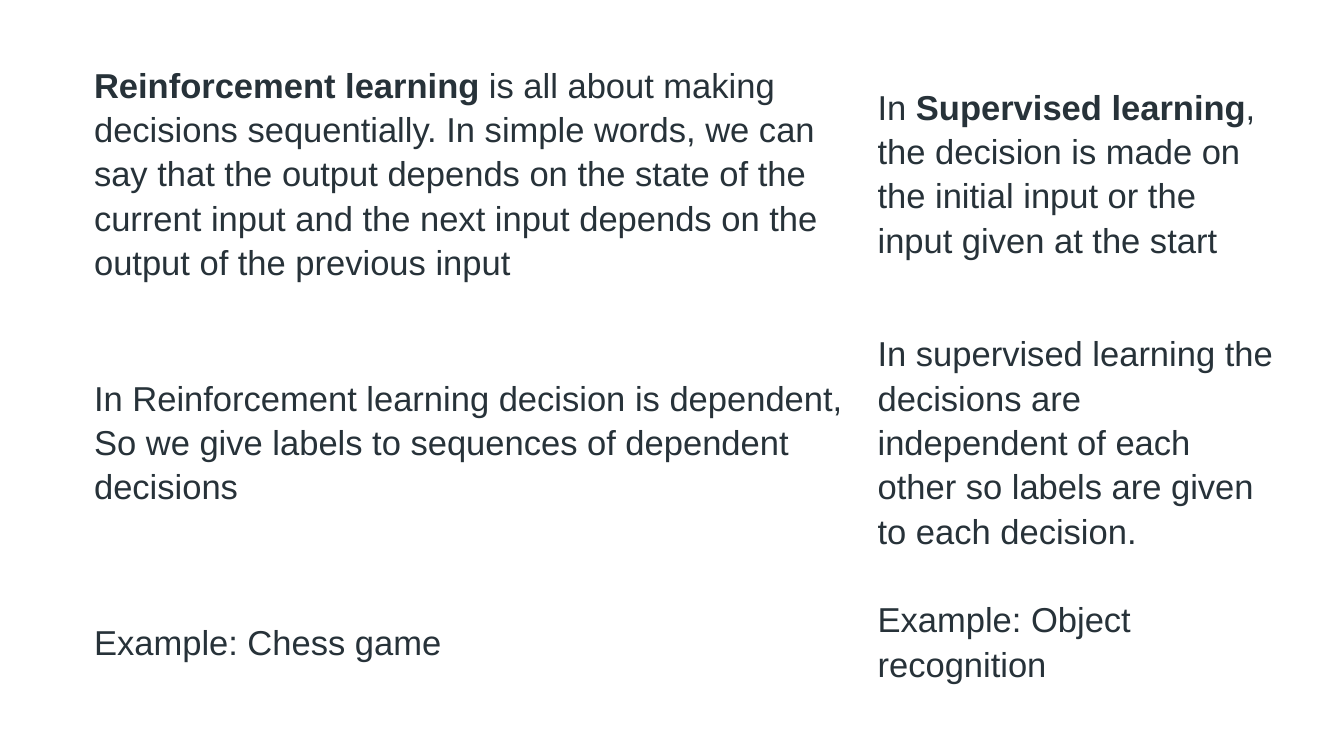
from dataclasses import dataclass

from pptx import Presentation
from pptx.dml.color import RGBColor
from pptx.enum.text import MSO_ANCHOR
from pptx.util import Inches, Pt


@dataclass(frozen=True)
class Theme:
    font: str = "Arial"
    size: float = 18.5
    line_spacing: float = 1.15
    text: RGBColor = RGBColor(0x27, 0x32, 0x39)
    background: RGBColor = RGBColor(0xFF, 0xFF, 0xFF)


theme = Theme()

# Each cell is a list of runs: (text, bold)
comparison = [
    [
        [("Reinforcement learning ", True),
         ("is all about making decisions sequentially. In simple words, we can "
          "say that the output depends on the state of the current input and "
          "the next input depends on the output of the previous input", False)],
        [("In ", False),
         ("Supervised learning", True),
         (", the decision is made on the initial input or the input given at "
          "the start", False)],
    ],
    [
        [("In Reinforcement learning decision is dependent, So we give labels "
          "to sequences of dependent decisions", False)],
        [("In supervised learning the decisions are independent of each other "
          "so labels are given to each decision.", False)],
    ],
    [
        [("Example: Chess game", False)],
        [("Example: Object recognition", False)],
    ],
]
column_widths = [5.83, 3.18]
row_heights = [2, 2, 0.97]

# Widescreen 16:9 slide without a title
presentation = Presentation()
presentation.slide_width = Inches(10)
presentation.slide_height = Inches(10 * 9 / 16)
slide = presentation.slides.add_slide(presentation.slide_layouts[6])
slide.background.fill.solid()
slide.background.fill.fore_color.rgb = theme.background

# Comparison table
table = slide.shapes.add_table(
    len(row_heights), len(column_widths), Inches(0.6), Inches(0.28),
    Inches(sum(column_widths)), Inches(sum(row_heights))).table
table.first_row = False
table.horz_banding = False
for column, width in zip(table.columns, column_widths):
    column.width = Inches(width)
for row, height in zip(table.rows, row_heights):
    row.height = Inches(height)

# Cell text, run by run
for row, row_content in zip(table.rows, comparison):
    for cell, runs in zip(row.cells, row_content):
        cell.fill.solid()
        cell.fill.fore_color.rgb = theme.background
        cell.vertical_anchor = MSO_ANCHOR.MIDDLE
        cell.margin_left = cell.margin_right = Inches(0.1)
        cell.margin_top = cell.margin_bottom = Inches(0.15)
        paragraph = cell.text_frame.paragraphs[0]
        paragraph.line_spacing = theme.line_spacing
        for text, bold in runs:
            run = paragraph.add_run()
            run.text = text
            run.font.name = theme.font
            run.font.size = Pt(theme.size)
            run.font.bold = bold
            run.font.color.rgb = theme.text

presentation.save("out.pptx")
